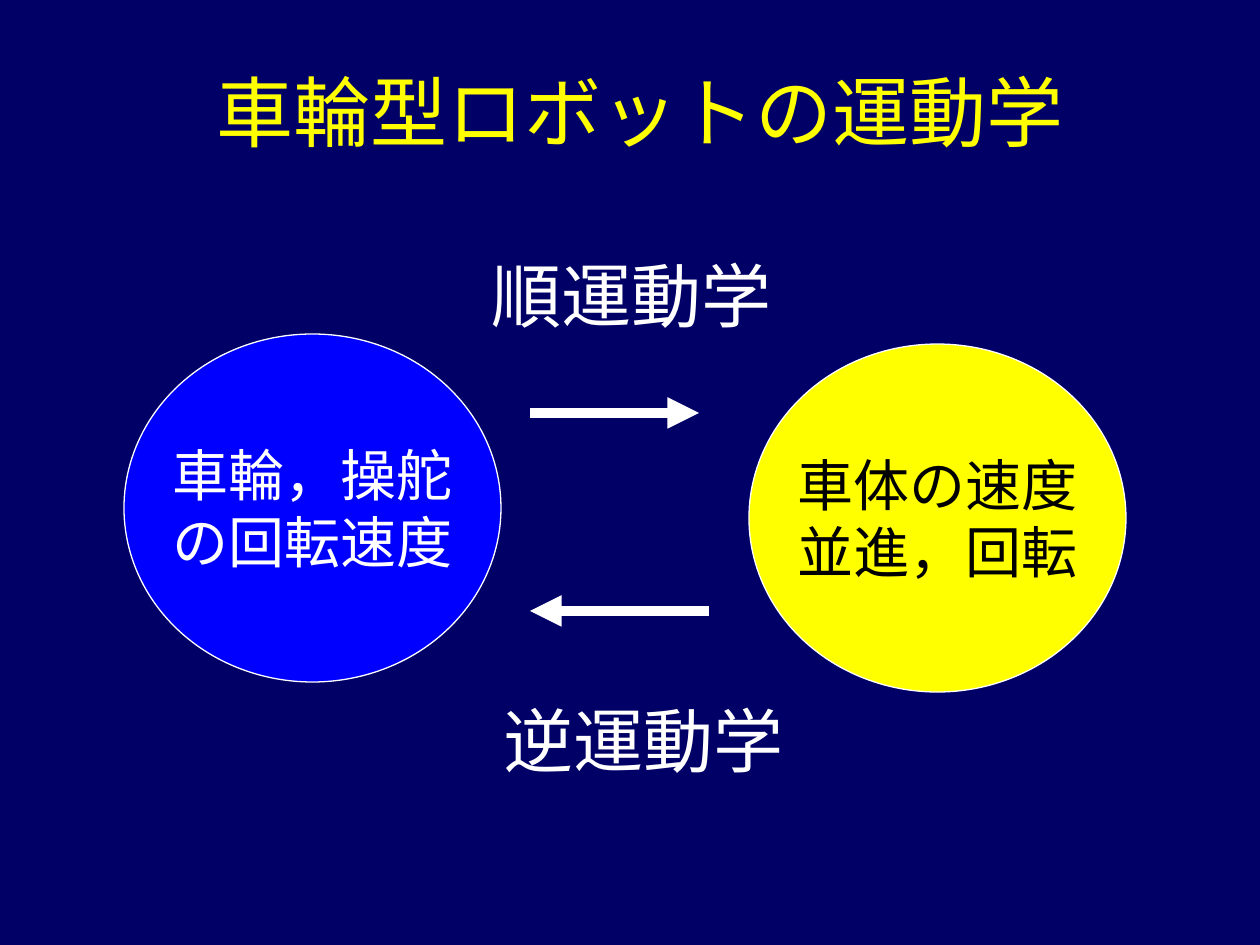
from dataclasses import dataclass

from lxml import etree
from pptx import Presentation
from pptx import util as u
from pptx.dml.color import RGBColor
from pptx.enum import shapes, text
from pptx.oxml.ns import qn

EMU_PER_PX = 914400 / 126


@dataclass(frozen=True)
class Theme:
    font: str = "Times New Roman"
    navy: str = "000066"
    blue: str = "0000FF"
    yellow: str = "FFFF00"
    white: str = "FFFFFF"
    black: str = "000000"
    title_pt: int = 44
    label_pt: int = 40
    body_pt: int = 32
    outline_pt: float = 0.75
    arrow_pt: int = 6


T = Theme()


def px(*lengths):
    return [u.Emu(round(n * EMU_PER_PX)) for n in lengths]


def rgb(color):
    return RGBColor.from_string(color)


def write(sp, words, size, color, align, anchor, wrap=False):
    tf = sp.text_frame
    tf.word_wrap = wrap
    tf.vertical_anchor = anchor
    tf.text = words
    for p in tf.paragraphs:
        p.alignment = align
        for r in p.runs:
            r.font.name = T.font
            r.font.size = u.Pt(size)
            r.font.color.rgb = rgb(color)


def add_title(s, words, box):
    sp = s.shapes.add_textbox(*px(*box))
    write(sp, words, T.title_pt, T.yellow, text.PP_ALIGN.CENTER,
          text.MSO_ANCHOR.MIDDLE, wrap=True)


def add_label(s, words, left, top):
    sp = s.shapes.add_textbox(*px(left, top, 305, 97))
    write(sp, words, T.label_pt, T.white, text.PP_ALIGN.LEFT, text.MSO_ANCHOR.TOP)
    sp.text_frame.auto_size = text.MSO_AUTO_SIZE.SHAPE_TO_FIT_TEXT


def add_state(s, words, left, top, fill, color):
    """Draw an ellipse that holds one set of robot velocities."""
    sp = s.shapes.add_shape(shapes.MSO_SHAPE.OVAL, *px(left, top, 377, 348))
    sp.shadow.inherit = False
    sp.fill.solid()
    sp.fill.fore_color.rgb = rgb(fill)
    sp.line.color.rgb = rgb(T.white)
    sp.line.width = u.Pt(T.outline_pt)
    write(sp, words, T.body_pt, color, text.PP_ALIGN.CENTER, text.MSO_ANCHOR.MIDDLE)


def add_arrow(s, start, end, y):
    cx = s.shapes.add_connector(shapes.MSO_CONNECTOR.STRAIGHT, *px(start, y, end, y))
    cx.line.color.rgb = rgb(T.white)
    cx.line.width = u.Pt(T.arrow_pt)
    etree.SubElement(cx.line._get_or_add_ln(), qn("a:tailEnd"), type="triangle")
    etree.SubElement(cx._element.spPr, qn("a:effectLst"))


def main():
    prs = Presentation()
    prs.slide_width, prs.slide_height = px(1260, 945)
    s = prs.slides.add_slide(prs.slide_layouts[6])
    s.background.fill.solid()
    s.background.fill.fore_color.rgb = rgb(T.navy)

    add_title(s, "車輪型ロボットの運動学", (105, 32, 1071, 157))
    add_state(s, "車輪，操舵\nの回転速度", 124, 334, T.blue, T.white)
    add_state(s, "車体の速度\n並進，回転", 749, 344, T.yellow, T.black)
    add_arrow(s, 530, 699, 413)
    add_arrow(s, 709, 530, 611)
    add_label(s, "順運動学", 479, 246)
    add_label(s, "逆運動学", 491, 691)
    prs.save("out.pptx")


if __name__ == "__main__":
    main()
